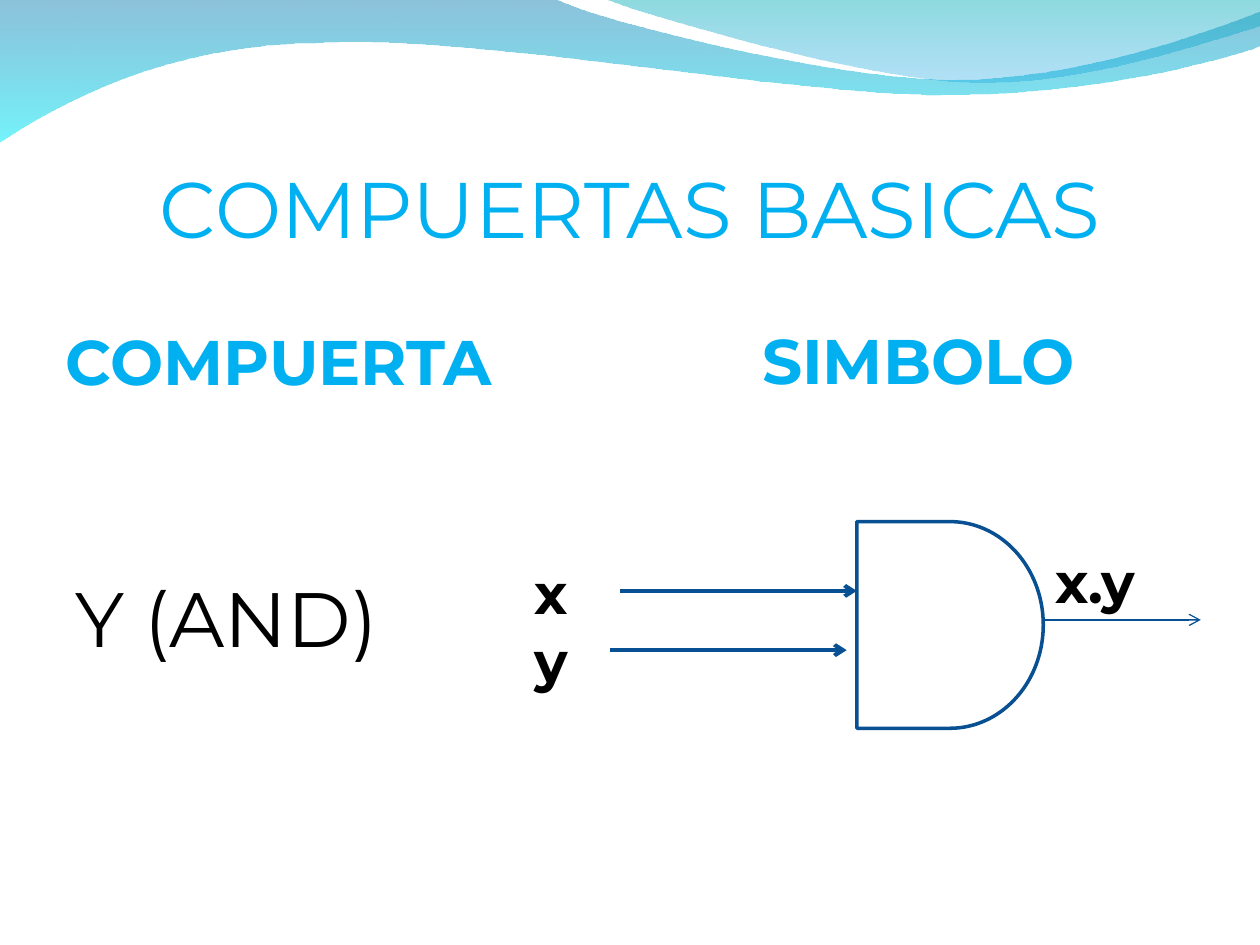
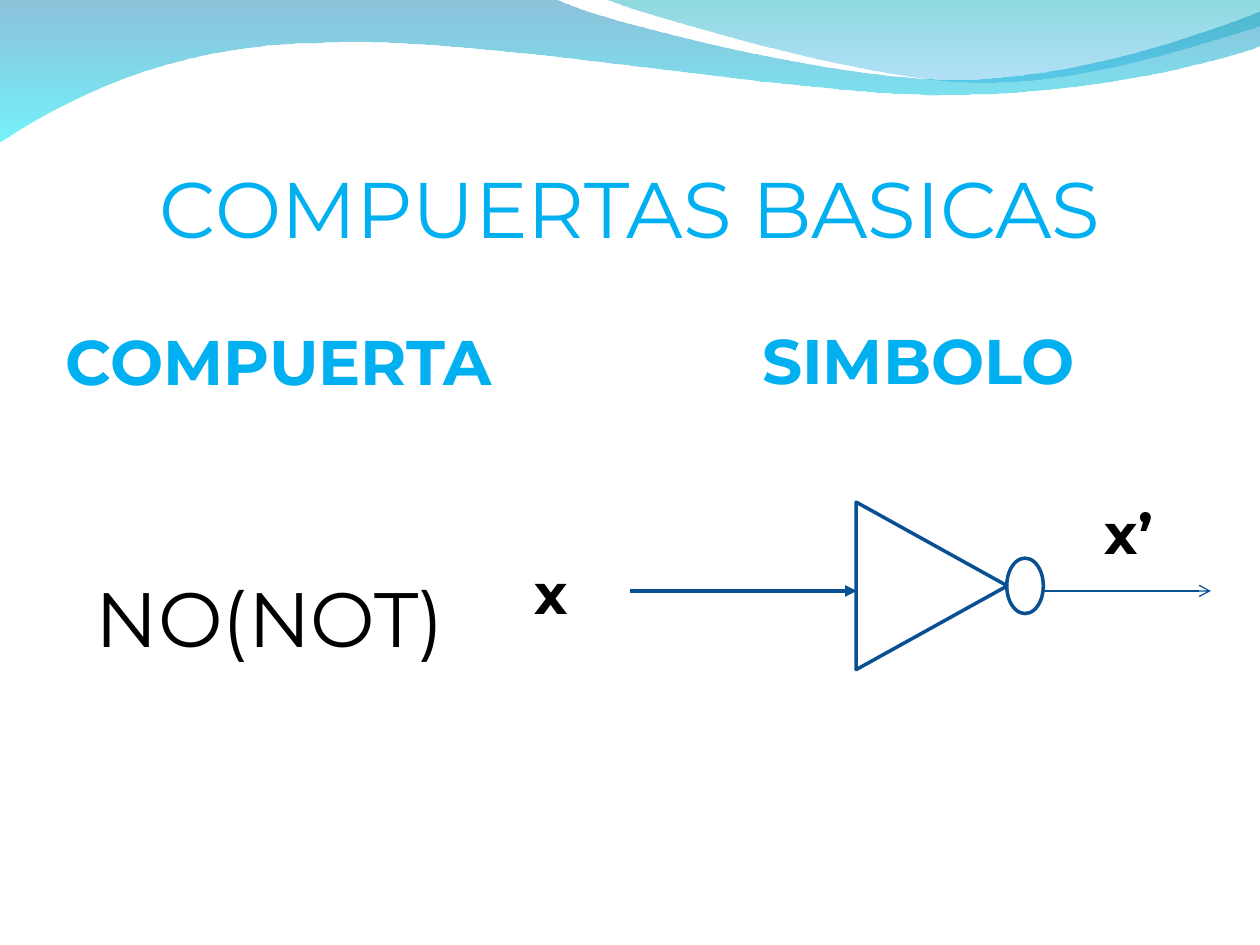
from lxml.etree import SubElement
from pptx import Presentation
from pptx.dml.color import RGBColor
from pptx.enum.shapes import MSO_CONNECTOR, MSO_SHAPE
from pptx.enum.text import MSO_ANCHOR, PP_ALIGN
from pptx.oxml.ns import qn
from pptx.util import Inches, Pt

SKY, BLACK, WHITE = "00B0F0", "000000", "FFFFFF"
WIRE, EDGE = "065093", "085091"
FONT = "Montserrat"

# Each wave: start, segments (one point: line, three: Bezier curve), stops
WAVES = [
    ((0, -0.01),
     [[(4.4, -0.01)],
      [(4.76, 0.17), (6.64, 0.63), (7.58, 0.63)],
      [(8.53, 0.63), (9.58, 0.26), (10, 0.09)],
      [(10.01, 0.36)],
      [(9.83, 0.44), (8.7, 0.76), (7.46, 0.75)],
      [(6.22, 0.75), (3.82, 0.28), (2.57, 0.34)],
      [(1.29, 0.35), (0.46, 0.83), (-0.01, 1.13)]],
     [("0079AF", 45), ("00EBF8", 55)]),
    ((4.79, -0.01),
     [[(5.09, 0.11), (6.82, 0.62), (7.69, 0.65)],
      [(8.56, 0.69), (9.61, 0.32), (10, 0.21)],
      [(10, 0)]],
     [("00ADB6", 45), ("009BE5", 30)]),
]

# Wires: left, right, y, width, arrowhead. Labels: text, left, top.
# Parts: preset, left, top, width, height, turn.
GATES = [
    {"name": "Y (AND)", "indent": 0.1,
     "wires": [(4.92, 6.8, 4.69, 2.25, "arrow"),
               (4.84, 6.72, 5.16, 2.25, "arrow"),
               (8.2, 9.53, 4.92, 0.75, "arrow")],
     "labels": [("x", 4.14, 4.38), ("y", 4.14, 4.92), ("x.y", 8.28, 4.3)],
     "parts": [(MSO_SHAPE.FLOWCHART_DELAY, 6.8, 4.14, 1.48, 1.64, 0)]},
    {"name": "NO(NOT)", "indent": 0.26,
     "wires": [(5, 6.8, 4.69, 2.25, "triangle"),
               (8.28, 9.61, 4.69, 0.75, "arrow")],
     "labels": [("x", 4.14, 4.38), ("x’", 8.67, 3.91)],
     "parts": [(MSO_SHAPE.ISOSCELES_TRIANGLE, 6.73, 4.05, 1.33, 1.2, 90),
               (MSO_SHAPE.FLOWCHART_CONNECTOR, 7.99, 4.43, 0.29, 0.44, 0)]},
]


def color(code):
    return RGBColor.from_string(code)


def write(slide, text, box, size, tint=BLACK, bold=False,
          align=PP_ALIGN.LEFT, anchor=MSO_ANCHOR.TOP, pads=(0, 0, 0, 0)):
    """Add a one-line text box; pads run left, top, right, bottom."""
    frame = slide.shapes.add_textbox(*map(Inches, box)).text_frame
    frame.word_wrap = True
    frame.vertical_anchor = anchor
    (frame.margin_left, frame.margin_top,
     frame.margin_right, frame.margin_bottom) = map(Inches, pads)
    frame.text = text
    line = frame.paragraphs[0]
    line.alignment = align
    font = line.runs[0].font
    font.name, font.size, font.bold = FONT, Pt(size), bold
    font.color.rgb = color(tint)


prs = Presentation()
prs.slide_width, prs.slide_height = Inches(10), Inches(7.5)
blank = prs.slide_layouts[6]
slides = [prs.slides.add_slide(blank) for gate in GATES]

# The waves are drawn once and moved to the layout that both slides share
for depth, (start, segs, stops) in enumerate(WAVES):
    pen = slides[0].shapes.build_freeform(*map(Inches, start))
    pen.add_line_segments(
        [(Inches(x), Inches(y)) for seg in segs for x, y in seg], close=True)
    wave = pen.convert_to_shape()
    wave.shadow.inherit = False
    wave.line.fill.background()
    wave.fill.gradient()
    wave.fill.gradient_angle = 270
    for stop, (code, alpha) in zip(wave.fill.gradient_stops, stops):
        stop.color.rgb = color(code)
    props = wave.element.spPr
    for tone, (code, alpha) in zip(props.iter(qn("a:srgbClr")), stops):
        SubElement(tone, qn("a:alpha")).set("val", str(alpha * 1000))

    # Join each three line steps of a curve into one Bezier step
    track = next(props.iter(qn("a:pathLst")))[0]
    steps = iter(track.findall(qn("a:lnTo")))
    for seg in segs:
        group = [next(steps) for point in seg]
        if len(group) == 3:
            curve = SubElement(track, qn("a:cubicBezTo"))
            group[0].addprevious(curve)
            for step in group:
                curve.append(step[0])
                track.remove(step)
    blank.shapes.element.insert(2 + depth, wave.element)

for slide, gate in zip(slides, GATES):
    write(slide, "COMPUERTAS BASICAS", (0.5, 0.77, 9, 1.25), 45, SKY,
          align=PP_ALIGN.CENTER, anchor=MSO_ANCHOR.BOTTOM,
          pads=(0, 0.05, 0, 0))
    for head, left, top in [("COMPUERTA", 0, 2.5), ("SIMBOLO", 5.08, 2.49)]:
        write(slide, head, (left, top, 4.42, 0.72), 36, SKY, True,
              PP_ALIGN.CENTER, MSO_ANCHOR.MIDDLE, (0.05, 0, 0.05, 0))
    write(slide, gate["name"], (0.5, 2.75, 4.42, 4.21), 44,
          anchor=MSO_ANCHOR.MIDDLE, pads=(gate["indent"], 0.08, 0.1, 0))

    for left, right, y, width, tip in gate["wires"]:
        wire = slide.shapes.add_connector(
            MSO_CONNECTOR.STRAIGHT, *map(Inches, (left, y, right, y)))
        wire.line.color.rgb = color(WIRE)
        wire.line.width = Pt(width)
        props = wire.element.spPr
        SubElement(props.find(qn("a:ln")), qn("a:tailEnd")).set("type", tip)
        SubElement(props, qn("a:effectLst"))

    for text, left, top in gate["labels"]:
        write(slide, text, (left, top, 1.33, 0.64), 32, bold=True,
              pads=(0.1, 0.05, 0.1, 0.05))

    for kind, left, top, width, height, turn in gate["parts"]:
        part = slide.shapes.add_shape(
            kind, *map(Inches, (left, top, width, height)))
        part.rotation = turn
        part.shadow.inherit = False
        part.fill.solid()
        part.fill.fore_color.rgb = color(WHITE)
        part.line.color.rgb = color(EDGE)
        part.line.width = Pt(2)

prs.save("out.pptx")
